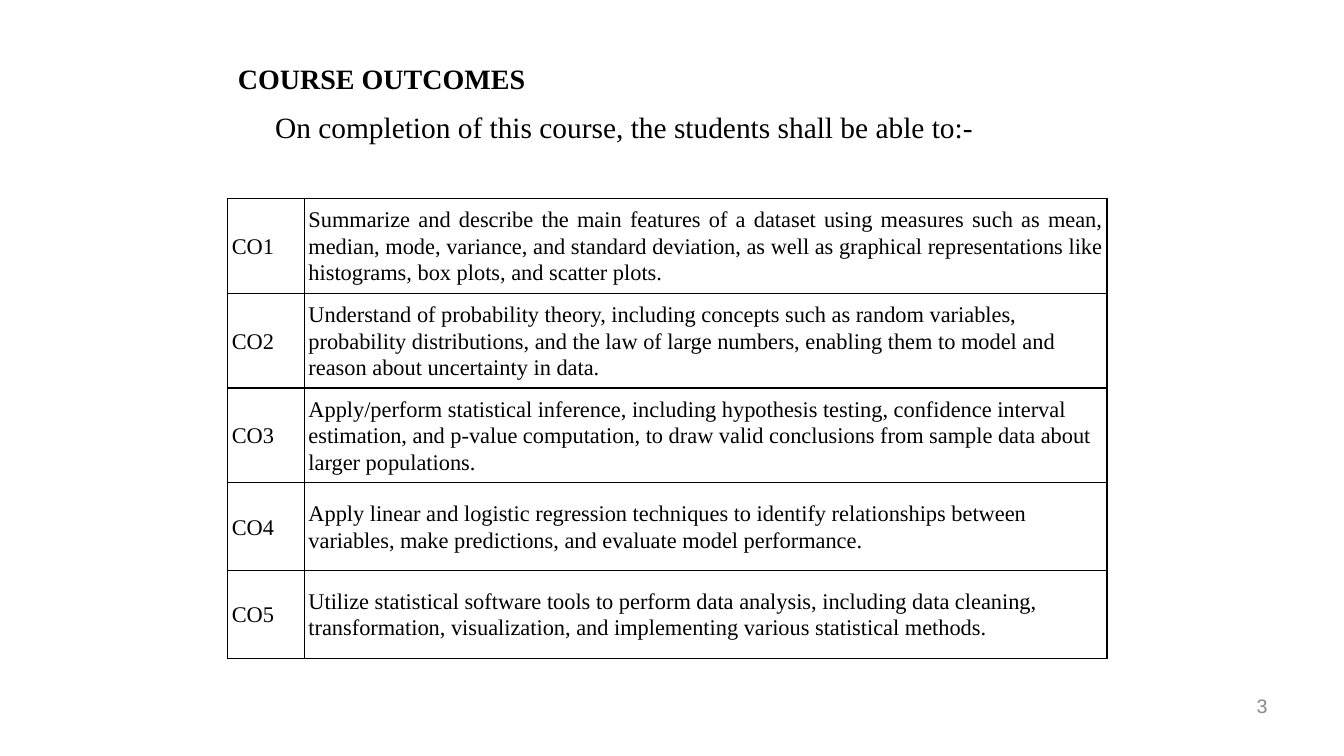
import pptx
import pptx.util
import pptx.dml.color
import pptx.enum.text
import pptx.oxml
import pptx.oxml.ns

Inches, Pt = pptx.util.Inches, pptx.util.Pt
RGBColor = pptx.dml.color.RGBColor
ALIGN, ANCHOR = pptx.enum.text.PP_ALIGN, pptx.enum.text.MSO_ANCHOR

# Content
TITLE = "COURSE OUTCOMES"
INTRO = "On completion of this course, the students shall be able to:-"
PAGE_NUMBER = "3"
OUTCOMES = [
    "Summarize and describe the main features of a dataset using measures such as mean, "
    "median, mode, variance, and standard deviation, as well as graphical representations "
    "like histograms, box plots, and scatter plots.",
    "Understand of probability theory, including concepts such as random variables, "
    "probability distributions, and the law of large numbers, enabling them to model and "
    "reason about uncertainty in data.",
    "Apply/perform statistical inference, including hypothesis testing, confidence interval "
    "estimation, and p-value computation, to draw valid conclusions from sample data about "
    "larger populations.",
    "Apply linear and logistic regression techniques to identify relationships between "
    "variables, make predictions, and evaluate model performance.",
    "Utilize statistical software tools to perform data analysis, including data cleaning, "
    "transformation, visualization, and implementing various statistical methods.",
]

# Look
BLACK = RGBColor(0x00, 0x00, 0x00)
GREY = RGBColor(0x89, 0x89, 0x89)
WHITE = RGBColor(0xFF, 0xFF, 0xFF)
SERIF, SANS = "Times New Roman", "Arial"
LEFT, TABLE_TOP = 2.26, 1.97
COL_WIDTHS = [0.76, 7.96]
ROW_HEIGHTS = [0.94, 0.94, 0.94, 0.87, 0.87]
CELL_MARGIN = Inches(0.04)


def write(tf, text, size, font=SERIF, color=BLACK, bold=False):
    tf.text = text
    p = tf.paragraphs[0]
    f = p.runs[0].font
    f.name, f.size, f.bold = font, Pt(size), bold
    f.color.rgb = color
    return p


def add_text(s, box, text, size, wrap=True, anchor=ANCHOR.TOP, **style):
    tf = s.shapes.add_textbox(*map(Inches, box)).text_frame
    tf.word_wrap = wrap
    tf.vertical_anchor = anchor
    return write(tf, text, size, **style)


def add_borders(cell):
    tcPr = cell._tc.get_or_add_tcPr()
    for i, side in enumerate(("lnL", "lnR", "lnT", "lnB")):
        tcPr.insert(i, pptx.oxml.parse_xml(
            f'<a:{side} {pptx.oxml.ns.nsdecls("a")} w="{Pt(1)}">'
            f'<a:solidFill><a:srgbClr val="{BLACK}"/></a:solidFill></a:{side}>'))


def fill_cell(cell, text):
    cell.margin_left = cell.margin_right = CELL_MARGIN
    cell.margin_top = cell.margin_bottom = CELL_MARGIN
    cell.vertical_anchor = ANCHOR.MIDDLE
    cell.fill.solid()
    cell.fill.fore_color.rgb = WHITE
    add_borders(cell)
    p = write(cell.text_frame, text, 16)
    p.line_spacing = 1.07
    return p


def main():
    prs = pptx.Presentation()
    prs.slide_width, prs.slide_height = Inches(13.33), Inches(7.5)
    s = prs.slides.add_slide(prs.slide_layouts[6])

    # Heading, introduction and page number
    add_text(s, (LEFT, 0.4, 6.31, 0.59), TITLE, 20, anchor=ANCHOR.BOTTOM, bold=True)
    add_text(s, (2.63, 1.03, 7.21, 0.45), INTRO, 21, wrap=False)
    p = add_text(s, (9.56, 6.83, 3.11, 0.52), PAGE_NUMBER, 14, font=SANS, color=GREY)
    p.alignment = ALIGN.RIGHT

    # Outcomes table
    table = s.shapes.add_table(
        len(OUTCOMES), len(COL_WIDTHS), Inches(LEFT), Inches(TABLE_TOP),
        Inches(sum(COL_WIDTHS)), Inches(sum(ROW_HEIGHTS))).table
    table.first_row = table.horz_banding = False
    for col, width in zip(table.columns, COL_WIDTHS):
        col.width = Inches(width)
    for i, (outcome, height) in enumerate(zip(OUTCOMES, ROW_HEIGHTS)):
        table.rows[i].height = Inches(height)
        fill_cell(table.cell(i, 0), f"CO{i + 1}")
        p = fill_cell(table.cell(i, 1), outcome)
        if i == 0:
            p.alignment = ALIGN.JUSTIFY
        else:
            p.space_after = Pt(8)

    prs.save("out.pptx")


if __name__ == "__main__":
    main()
